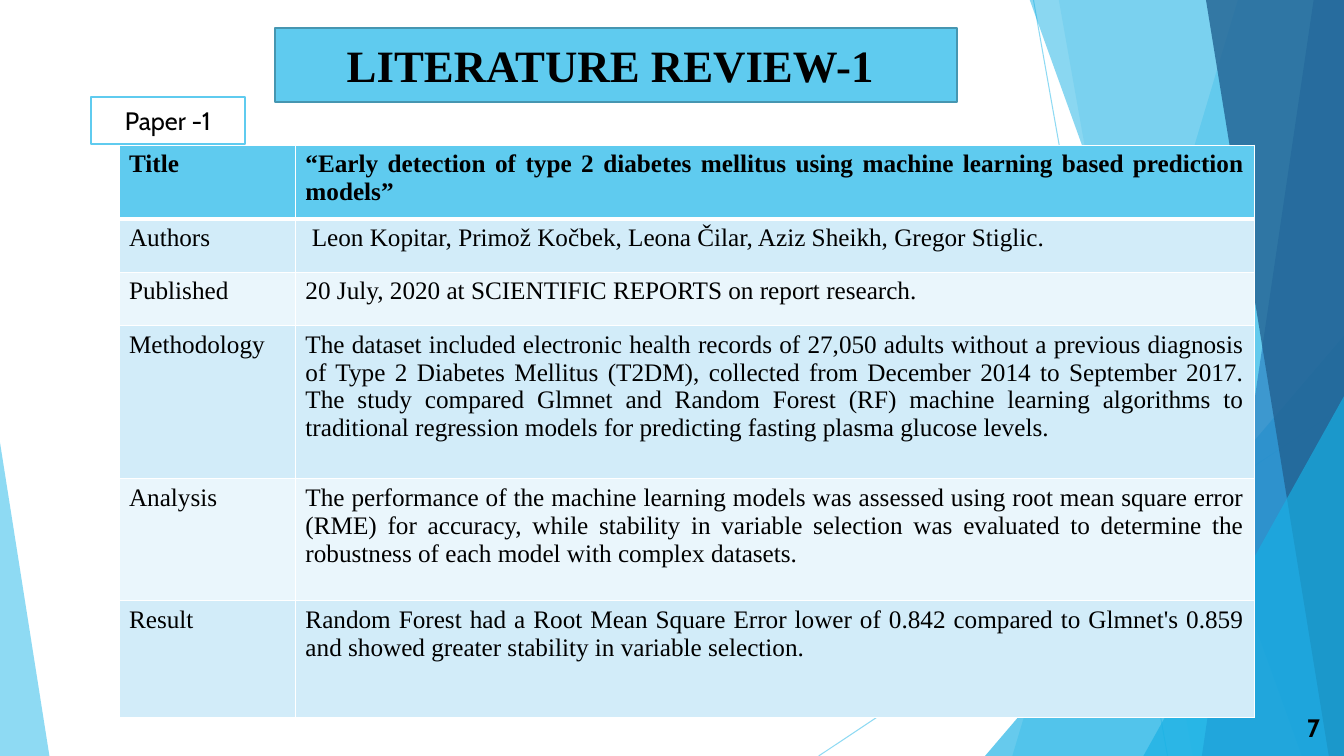
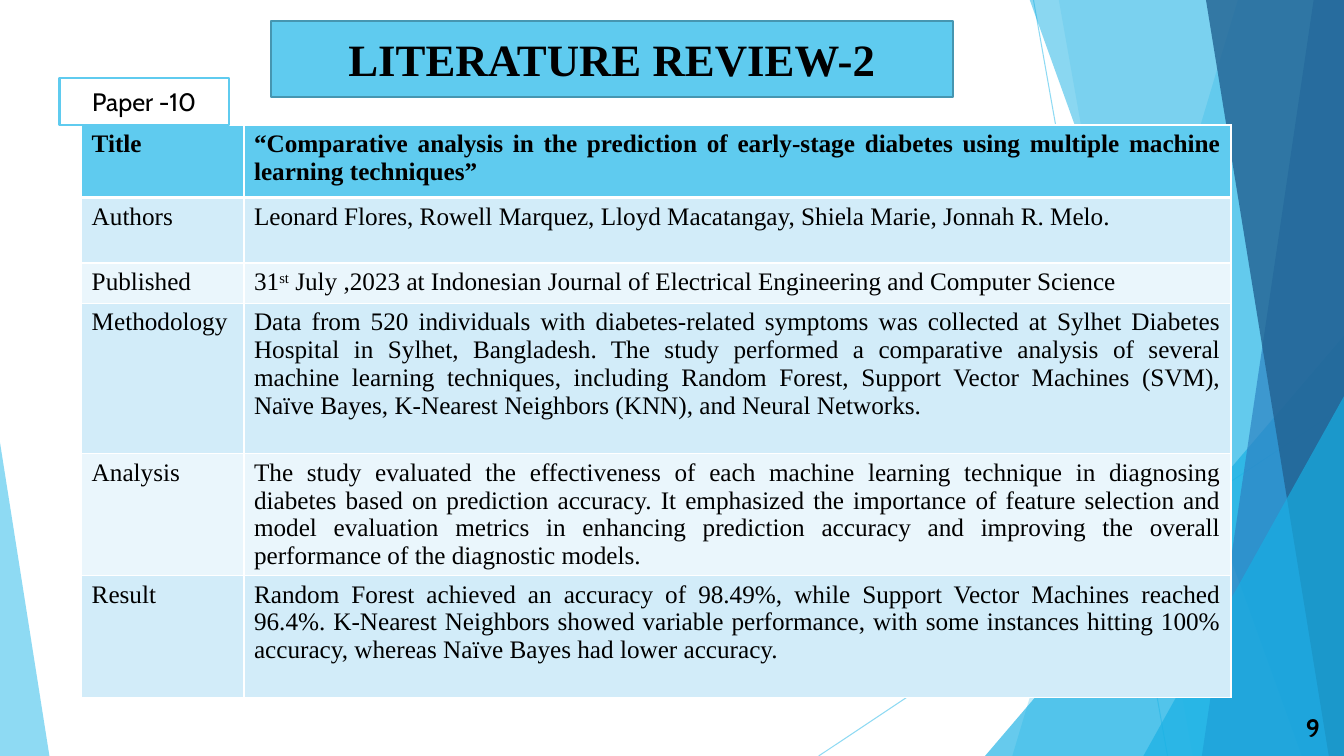
"""Build two literature review slides, each with a paper summary table."""
from pptx import Presentation
from pptx.dml.color import RGBColor
from pptx.enum.shapes import MSO_CONNECTOR, MSO_SHAPE
from pptx.enum.text import MSO_ANCHOR, PP_ALIGN
from pptx.oxml.ns import qn
from pptx.util import Inches, Pt
from lxml.etree import SubElement

COLORS = {
    "sky": "5FCBEF", "azure": "17B0E4", "blue": "2E83C3", "navy": "226292",
    "edge": "4696B1", "band": "D2ECF9", "pale": "EAF6FC",
    "white": "FFFFFF", "black": "000000",
}
SERIF, SANS = "Times New Roman", "Cabin"
WIDTH, HEIGHT, TOP = 13.33, 7.5, -0.01

RAYS = [((10.25, 0), (11.58, HEIGHT)), ((WIDTH, 4.03), (8.12, HEIGHT))]
# ponytail: facets are (kind, geometry, color, opacity), back to front
FACETS = [
    ("band", (12.28, 10.04), "sky", 36),
    ("band", (10.5, 11.83), "sky", 20),
    ("triangle", (9.77, 3.33, 3.56, 1), "azure", 66),
    ("band", (10.21, 12.91), "azure", 50),
    ("band", (13.03, 11.92), "blue", 70),
    ("band", (11.96, 13.18), "navy", 80),
    ("triangle", (11.34, 3.93, 1.99, 1), "azure", 66),
    ("triangle", (0, 4.39, 0.49, 0), "sky", 70),
]
LABELS = ["Title", "Authors", "Published", "Methodology", "Analysis", "Result"]
REVIEWS = [
    {
        "title": "LITERATURE REVIEW-1 ", "title_at": (2.73, 0.28, 6.76, 0.73),
        "paper": "Paper -1", "paper_at": (0.9, 0.96, 1.53, 0.47),
        "number": "7", "table_at": (1.18, 1.44),
        "columns": [1.75, 9.51], "rows": [0.73, 0.53, 0.53, 1.52, 1.21, 1.16],
        "texts": [
            "“Early detection of type 2 diabetes mellitus using machine learning "
            "based prediction models”",
            " Leon Kopitar, Primož Kočbek, Leona Čilar, Aziz Sheikh, Gregor Stiglic.",
            "20 July, 2020 at SCIENTIFIC REPORTS on report research.",
            "The dataset included electronic health records of 27,050 adults without "
            "a previous diagnosis of Type 2 Diabetes Mellitus (T2DM), collected from "
            "December 2014 to September 2017. The study compared Glmnet and Random "
            "Forest (RF) machine learning algorithms to traditional regression models "
            "for predicting fasting plasma glucose levels.",
            "The performance of the machine learning models was assessed using root "
            "mean square error (RME) for accuracy, while stability in variable "
            "selection was evaluated to determine the robustness of each model with "
            "complex datasets.",
            "Random Forest had a Root Mean Square Error lower of 0.842 compared to "
            "Glmnet's 0.859 and showed greater stability in variable selection.",
        ],
    },
    {
        "title": "LITERATURE REVIEW-2", "title_at": (2.69, 0.21, 6.76, 0.75),
        "paper": "Paper -10", "paper_at": (0.59, 0.77, 1.68, 0.47),
        "number": "9", "table_at": (0.81, 1.24),
        "columns": [1.61, 9.79], "rows": [0.72, 0.65, 0.4, 1.49, 1.21, 1.21],
        "texts": [
            "“Comparative analysis in the prediction of early-stage diabetes using "
            "multiple machine learning techniques”",
            "Leonard Flores, Rowell Marquez, Lloyd Macatangay, Shiela Marie, "
            "Jonnah R. Melo.",
            "31^st^ July ,2023 at Indonesian Journal of Electrical Engineering and "
            "Computer Science",
            "Data from 520 individuals with diabetes-related symptoms was collected "
            "at Sylhet Diabetes Hospital in Sylhet, Bangladesh. The study performed a "
            "comparative analysis of several machine learning techniques, including "
            "Random Forest, Support Vector Machines (SVM), Naïve Bayes, K-Nearest "
            "Neighbors (KNN), and Neural Networks.",
            "The study evaluated the effectiveness of each machine learning technique "
            "in diagnosing diabetes based on prediction accuracy. It emphasized the "
            "importance of feature selection and model evaluation metrics in enhancing "
            "prediction accuracy and improving the overall performance of the "
            "diagnostic models.",
            "Random Forest achieved an accuracy of 98.49%, while Support Vector "
            "Machines reached 96.4%. K-Nearest Neighbors showed variable performance, "
            "with some instances hitting 100% accuracy, whereas Naïve Bayes had lower "
            "accuracy.",
        ],
    },
]


def write(frame, text, font=SERIF, size=18, bold=False, align=PP_ALIGN.JUSTIFY):
    """Write one paragraph; text between carets is superscript."""
    frame.word_wrap = True
    para = frame.paragraphs[0]
    para.alignment = align
    for index, part in enumerate(text.split("^")):
        span = para.add_run()
        span.text = part
        span.font.name = font
        span.font.size = Pt(size)
        span.font.bold = bold
        span.font.color.rgb = RGBColor.from_string(COLORS["black"])
        if index % 2:
            span.font._element.set("baseline", "30000")


def paint(paint_format, color, opacity=100):
    """Apply a solid color with the given opacity to a fill."""
    paint_format.solid()
    paint_format.fore_color.rgb = RGBColor.from_string(COLORS[color])
    if opacity < 100:
        tint = paint_format._xPr.find(qn("a:solidFill"))[0]
        SubElement(tint, qn("a:alpha")).set("val", str(opacity * 1000))


deck = Presentation()
deck.slide_width, deck.slide_height = Inches(WIDTH), Inches(HEIGHT)

for review in REVIEWS:
    page = deck.slides.add_slide(deck.slide_layouts[6])

    for start, end in RAYS:
        ray = page.shapes.add_connector(
            MSO_CONNECTOR.STRAIGHT, *[Inches(value) for value in start + end])
        ray.line.width = Pt(0.75)
        paint(ray.line.fill, "sky", 70)
        SubElement(ray._element.spPr, qn("a:effectLst"))

    for kind, geometry, color, opacity in FACETS:
        if kind == "band":
            upper, lower = geometry
            corners = [(WIDTH, TOP), (WIDTH, HEIGHT), (lower, HEIGHT)]
            builder = page.shapes.build_freeform(Inches(upper), Inches(TOP))
            builder.add_line_segments([(Inches(x), Inches(y)) for x, y in corners])
            facet = builder.convert_to_shape()
        else:
            left, top, width, apex = geometry
            facet = page.shapes.add_shape(
                MSO_SHAPE.ISOSCELES_TRIANGLE, Inches(left), Inches(top),
                Inches(width), Inches(HEIGHT - top))
            facet.adjustments[0] = apex
        facet.shadow.inherit = False
        paint(facet.fill, color, opacity)
        facet.line.fill.background()

    left, top = review["table_at"]
    columns, rows = review["columns"], review["rows"]
    table = page.shapes.add_table(
        len(rows), len(columns), Inches(left), Inches(top),
        Inches(sum(columns)), Inches(sum(rows))).table
    table.horz_banding = False
    for column, width in zip(table.columns, columns):
        column.width = Inches(width)
    for index, pair in enumerate(zip(LABELS, review["texts"])):
        table.rows[index].height = Inches(rows[index])
        fill = "sky" if index == 0 else "band" if index % 2 else "pale"
        for cell, text in zip(table.rows[index].cells, pair):
            for side in "LRTB":
                thick = (index, side) in [(0, "B"), (1, "T")]
                border = SubElement(cell._tc.get_or_add_tcPr(), qn(f"a:ln{side}"))
                border.set("w", str(Pt(3 if thick else 1)))
                stroke = SubElement(border, qn("a:solidFill"))
                SubElement(stroke, qn("a:srgbClr")).set("val", COLORS["white"])
            paint(cell.fill, fill)
            write(cell.text_frame, text, bold=index == 0)

    box = page.shapes.add_textbox(
        Inches(12.44), Inches(7.02), Inches(0.75), Inches(0.4))
    box.text_frame.vertical_anchor = MSO_ANCHOR.MIDDLE
    write(box.text_frame, review["number"], font=SANS, bold=True, align=PP_ALIGN.RIGHT)

    for name, fill, edge, style in [
        ("title", "sky", "edge", {"size": 32, "bold": True}),
        ("paper", "white", "sky", {"font": SANS}),
    ]:
        box = page.shapes.add_shape(
            MSO_SHAPE.RECTANGLE, *[Inches(value) for value in review[name + "_at"]])
        box.shadow.inherit = False
        paint(box.fill, fill)
        paint(box.line.fill, edge)
        box.line.width = Pt(1.5)
        box.text_frame.vertical_anchor = MSO_ANCHOR.MIDDLE
        write(box.text_frame, review[name], align=PP_ALIGN.CENTER, **style)

deck.save("out.pptx")
